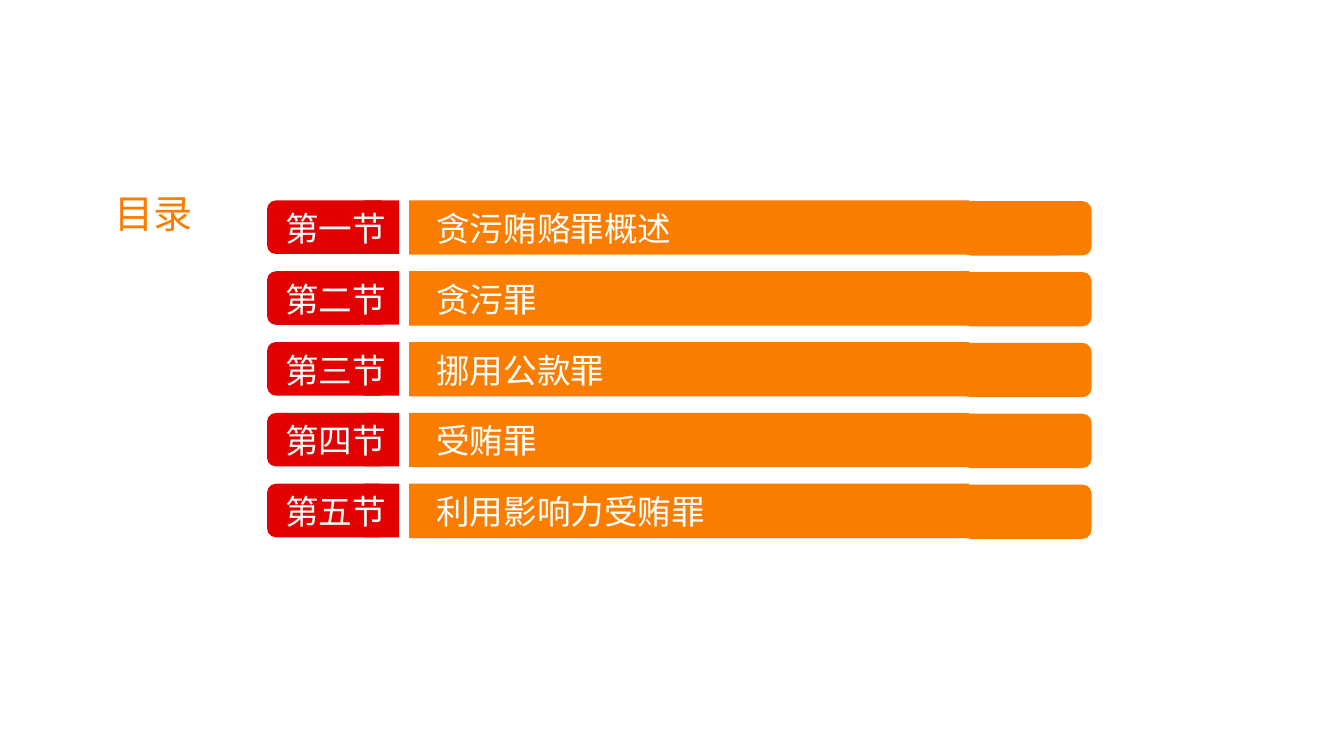
from dataclasses import dataclass

import pptx
import pptx.dml.color
import pptx.enum.shapes
import pptx.enum.text
import pptx.oxml
import pptx.oxml.ns
import pptx.util
from pptx.util import Cm, Pt

RECT = pptx.enum.shapes.MSO_SHAPE.RECTANGLE
ROUNDED = pptx.enum.shapes.MSO_SHAPE.ROUNDED_RECTANGLE


@dataclass(frozen=True)
class Theme:
    orange: str = "FA7D00"
    red: str = "E20000"
    white: str = "FFFFFF"
    font: str = "Noto Sans CJK SC"
    heading_size: float = 28
    entry_size: float = 24
    line_height: float = 28.8


@dataclass(frozen=True)
class Section:
    number: str
    topic: str
    topic_offset: float = 3.3


@dataclass(frozen=True)
class BarPart:
    outline: int
    left: float
    width: float
    height: float
    colour: str
    drop: float = 0


THEME = Theme()
SECTIONS = [
    Section("第一节", "贪污贿赂罪概述"),
    Section("第二节", "贪污罪"),
    Section("第三节", "挪用公款罪"),
    Section("第四节", "受贿罪"),
    Section("第五节", "利用影响力受贿罪", topic_offset=3.48),
]
BAR_PARTS = [
    BarPart(ROUNDED, 24.23, 3.28, 1.37, THEME.orange, drop=0.02),
    BarPart(ROUNDED, 6.73, 3.07, 1.35, THEME.red),
    BarPart(RECT, 9.17, 0.89, 1.35, THEME.red),
    BarPart(RECT, 10.31, 14.12, 1.37, THEME.orange),
]
FIRST_TOP, LAST_TOP = 5.05, 12.19
PITCH = (LAST_TOP - FIRST_TOP) / (len(SECTIONS) - 1)


def rgb(colour: str) -> pptx.dml.color.RGBColor:
    return pptx.dml.color.RGBColor.from_string(colour)


def draw_bar(slide: pptx.slide.Slide, top: float) -> None:
    """Group the red tag and orange bar behind one section."""
    bar = slide.shapes.add_group_shape()
    for part in BAR_PARTS:
        piece = bar.shapes.add_shape(
            part.outline, Cm(part.left), Cm(top + part.drop), Cm(part.width), Cm(part.height)
        )
        piece.shadow.inherit = False
        piece.fill.solid()
        piece.fill.fore_color.rgb = rgb(part.colour)
        piece.line.fill.background()


def place(holder: pptx.shapes.base.BaseShape, left: float, top: float,
          width: float, height: float, wrap: bool) -> None:
    """Move a placeholder into position, in front of everything drawn so far."""
    box = {"left": left, "top": top, "width": width, "height": height}
    for side, length in box.items():
        setattr(holder, side, Cm(length))
    frame_format = {
        "word_wrap": wrap,
        "auto_size": pptx.enum.text.MSO_AUTO_SIZE.NONE,
        "vertical_anchor": pptx.enum.text.MSO_ANCHOR.TOP,
    }
    for name, value in frame_format.items():
        setattr(holder.text_frame, name, value)
    holder.element.getparent().append(holder.element)


def write(paragraph: pptx.text.text._Paragraph, text: str, size: float, colour: str,
          space_before: float = 0) -> None:
    paragraph_format = {
        "alignment": pptx.enum.text.PP_ALIGN.LEFT,
        "line_spacing": Pt(size / THEME.entry_size * THEME.line_height),
        "space_before": Pt(space_before),
    }
    for name, value in paragraph_format.items():
        setattr(paragraph, name, value)
    paragraph.text = text
    for run in paragraph.runs:
        for name, value in {"size": Pt(size), "name": THEME.font, "bold": False}.items():
            setattr(run.font, name, value)
        run.font.color.rgb = rgb(colour)
        east_asian = pptx.oxml.parse_xml(
            f'<a:ea {pptx.oxml.ns.nsdecls("a")} typeface="{THEME.font}"/>'
        )
        run.font._element.append(east_asian)


def set_tab(paragraph: pptx.text.text._Paragraph, offset: float) -> None:
    """Drop the bullet and indent, and align the topic at one tab stop."""
    properties = paragraph._p.get_or_add_pPr()
    for name in ("marL", "indent"):
        properties.set(name, "0")
    namespace = pptx.oxml.ns.nsdecls("a")
    for xml in (
        f"<a:buNone {namespace}/>",
        f'<a:tabLst {namespace}><a:tab pos="{Cm(offset)}" algn="l"/></a:tabLst>',
    ):
        properties.append(pptx.oxml.parse_xml(xml))


def main() -> None:
    deck = pptx.Presentation()
    deck.slide_width, deck.slide_height = Cm(33.87), Cm(19.05)
    slide = deck.slides.add_slide(deck.slide_layouts[1])
    heading, contents = slide.placeholders

    for index in range(len(SECTIONS)):
        draw_bar(slide, FIRST_TOP + index * PITCH)

    place(heading, 2.62, 4.65, 2.51, 1.45, wrap=False)
    write(heading.text_frame.paragraphs[0], "目录", THEME.heading_size, THEME.orange)

    place(contents, 6.93, 5.11, 20.5, 8.9, wrap=True)
    gap = Cm(PITCH).pt - THEME.line_height
    for index, section in enumerate(SECTIONS):
        frame = contents.text_frame
        entry = frame.add_paragraph() if index else frame.paragraphs[0]
        set_tab(entry, section.topic_offset)
        write(entry, f"{section.number}\t{section.topic}", THEME.entry_size, THEME.white,
              space_before=gap if index else 0)

    deck.save("out.pptx")


if __name__ == "__main__":
    main()
